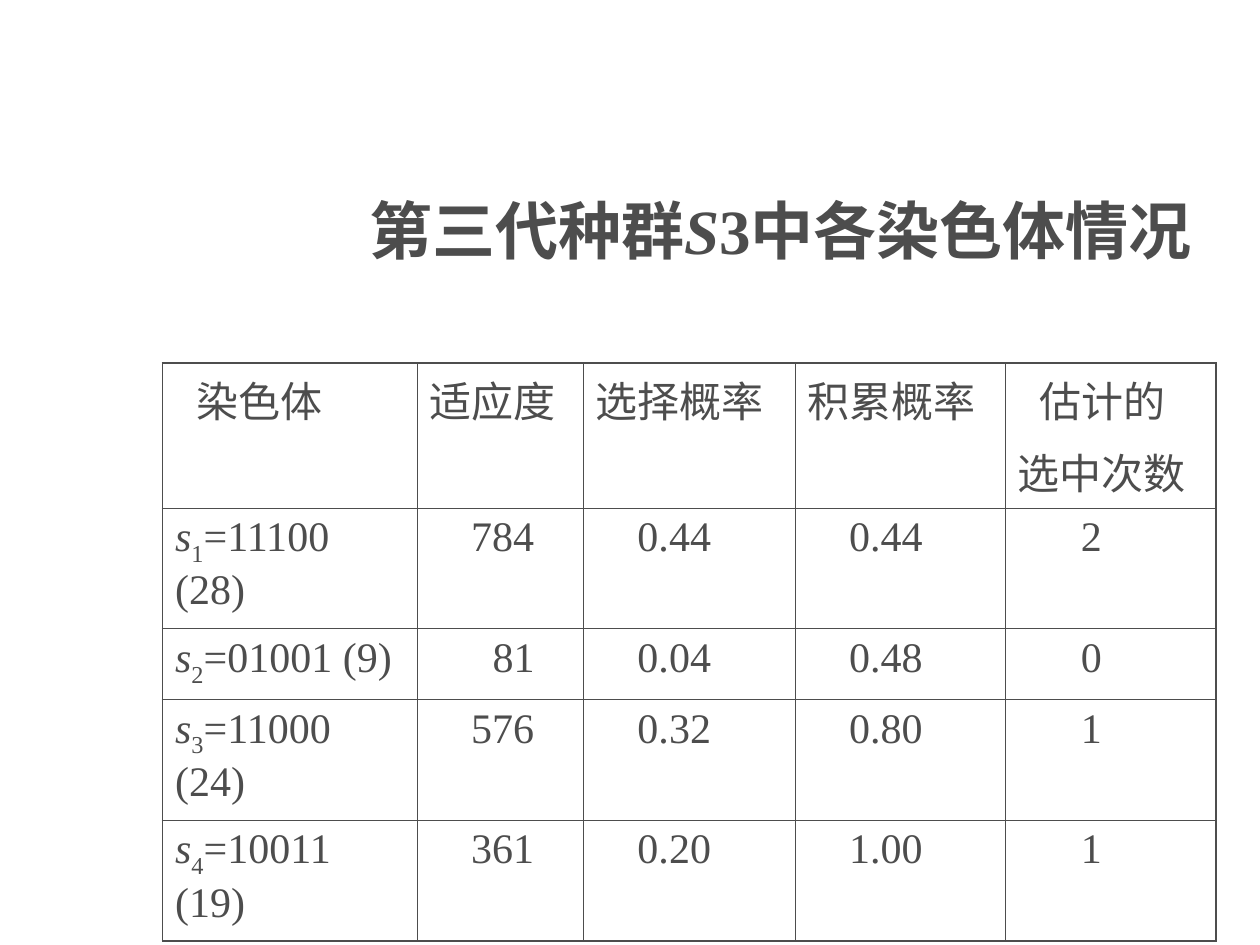
from dataclasses import dataclass

from lxml.etree import SubElement
from pptx import Presentation
from pptx.dml.color import RGBColor
from pptx.enum.text import MSO_ANCHOR as Anchor, MSO_AUTO_SIZE as AutoSize, PP_ALIGN as Align
from pptx.oxml.ns import qn
from pptx.util import Inches, Pt


@dataclass(frozen=True)
class Theme:
    ink: str = "4D4D4D"
    font: str = "Times New Roman"
    title_size: int = 36
    body_size: int = 24
    inner_line: float = 0.45
    outer_line: float = 1.08


THEME = Theme()
COLUMN_WIDTHS = [2.02, 1.32, 1.68, 1.67, 1.67]
ROW_HEIGHTS = [0.99, 0.96, 0.56, 0.96, 0.96]
SMALL_INDENT, NUMBER_INDENT, DIGIT_INDENT = 0.17, 0.33, 0.5
HEADINGS = [
    [("染色体", SMALL_INDENT)],
    [("适应度", 0)],
    [("选择概率", 0)],
    [("积累概率", 0)],
    [("估计的", SMALL_INDENT), ("选中次数", 0)],
]
CHROMOSOMES = [
    ("=11100 (28)", "784", "0.44", "0.44", "2"),
    ("=01001 (9)", "81", "0.04", "0.48", "0"),
    ("=11000 (24)", "576", "0.32", "0.80", "1"),
    ("=10011 (19)", "361", "0.20", "1.00", "1"),
]


def add_span(para, text, size, bold=False, italic=False, baseline=0):
    span = para.add_run()
    span.text = text
    font = span.font
    font.name, font.size = THEME.font, Pt(size)
    font.bold, font.italic = bold, italic
    font.color.rgb = RGBColor.from_string(THEME.ink)
    if baseline:
        font._element.set("baseline", str(baseline * 1000))


def format_para(para, indent=0):
    para.alignment = Align.LEFT
    para.space_before = Pt(6)
    properties = para._p.get_or_add_pPr()
    properties.set("marL", str(Inches(indent)))
    properties.set("indent", "0")


def add_title(page):
    title = page.shapes.title
    title.left, title.top = Inches(2.83), Inches(1.54)
    title.width, title.height = Inches(7.17), Inches(0.56)
    frame = title.text_frame
    frame.word_wrap = True
    frame.auto_size = AutoSize.NONE
    frame.vertical_anchor = Anchor.MIDDLE
    para = frame.paragraphs[0]
    para.alignment = Align.LEFT
    for text, italic in [("第三代种群", False), ("S", True), ("3中各染色体情况", False)]:
        add_span(para, text, THEME.title_size, bold=True, italic=italic)


def write_lines(cell, lines):
    frame = cell.text_frame
    for index, (text, indent) in enumerate(lines):
        para = frame.add_paragraph() if index else frame.paragraphs[0]
        format_para(para, indent)
        add_span(para, text, THEME.body_size)


def write_chromosome(cell, number, code):
    para = cell.text_frame.paragraphs[0]
    format_para(para)
    add_span(para, "s", THEME.body_size, italic=True)
    add_span(para, str(number), THEME.body_size, baseline=-25)
    add_span(para, code, THEME.body_size)


def format_cell(cell, outer_sides):
    properties = cell._tc.get_or_add_tcPr()
    for side in "LRTB":
        width = THEME.outer_line if side in outer_sides else THEME.inner_line
        line = SubElement(properties, qn(f"a:ln{side}"), w=str(Pt(width)))
        fill = SubElement(line, qn("a:solidFill"))
        SubElement(fill, qn("a:srgbClr"), val=THEME.ink)
    cell.fill.background()


def add_population_table(page):
    rows, columns = len(ROW_HEIGHTS), len(COLUMN_WIDTHS)
    table = page.shapes.add_table(
        rows, columns, Inches(1.29), Inches(2.88),
        Inches(sum(COLUMN_WIDTHS)), Inches(sum(ROW_HEIGHTS)),
    ).table
    table.first_row = table.horz_banding = False
    for column, width in zip(table.columns, COLUMN_WIDTHS):
        column.width = Inches(width)
    for row, height in zip(table.rows, ROW_HEIGHTS):
        row.height = Inches(height)

    for column, lines in enumerate(HEADINGS):
        write_lines(table.cell(0, column), lines)
    for number, (code, *values) in enumerate(CHROMOSOMES, 1):
        write_chromosome(table.cell(number, 0), number, code)
        for column, value in enumerate(values, 1):
            indent = NUMBER_INDENT if len(value) > 2 else DIGIT_INDENT
            write_lines(table.cell(number, column), [(value, indent)])

    for row in range(rows):
        for column in range(columns):
            edges = {"L": column == 0, "R": column == columns - 1,
                     "T": row == 0, "B": row == rows - 1}
            format_cell(table.cell(row, column), [side for side in edges if edges[side]])


def main():
    deck = Presentation()
    deck.slide_width, deck.slide_height = Inches(10), Inches(7.5)
    page = deck.slides.add_slide(deck.slide_layouts[5])
    add_title(page)
    add_population_table(page)
    deck.save("out.pptx")


if __name__ == "__main__":
    main()
